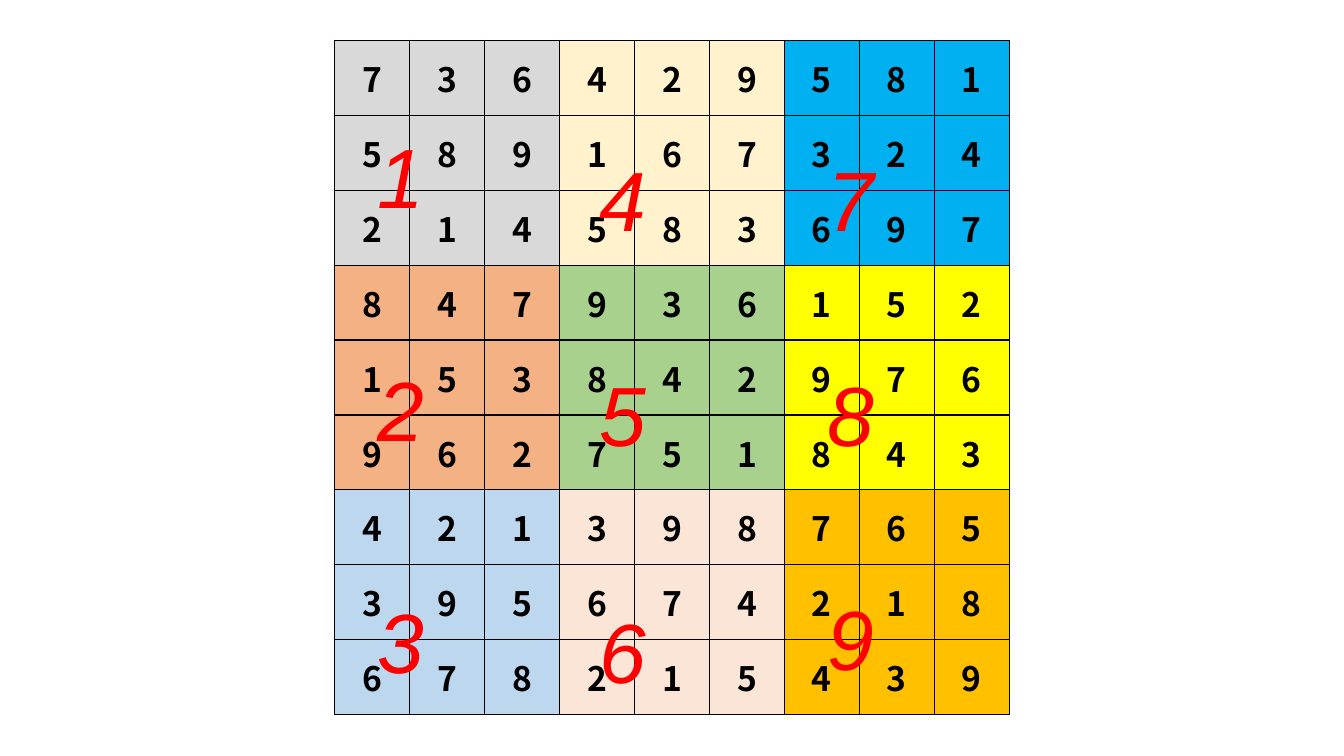
from lxml import etree
from pptx import Presentation
from pptx.dml.color import RGBColor
from pptx.enum.text import MSO_ANCHOR, MSO_AUTO_SIZE, PP_ALIGN
from pptx.oxml.ns import qn
from pptx.util import Inches, Pt

CENTER = PP_ALIGN.CENTER
MIDDLE = MSO_ANCHOR.MIDDLE
GROW = MSO_AUTO_SIZE.SHAPE_TO_FIT_TEXT

SIZE, BOX = 9, 3
GRID_LEFT, GRID_TOP, GRID_SIDE = 3.32, 0.4, 6.69

DIGITS = [
    "736429581",
    "589167324",
    "214583697",
    "847936152",
    "153842976",
    "962751843",
    "421398765",
    "395674218",
    "678215439",
]
BOX_FILLS = [
    ["D9D9D9", "FFF2CC", "00B0F0"],
    ["F4B183", "A9D18E", "FFFF00"],
    ["BDD7EE", "FBE5D6", "FFC000"],
]
# Box numbers run down each column: left, width, height, wrap, tops
NUMBER_COLUMNS = [
    (3.65, 0.71, 1.11, False, [1.19, 3.5, 5.8]),
    (5.85, 0.58, 1.12, True, [1.41, 3.55, 5.9]),
    (8.11, 0.58, 1.12, True, [1.41, 3.55, 5.77]),
]


def color(value):
    return RGBColor.from_string(value)


def outline(cell):
    properties = cell._tc.get_or_add_tcPr()
    for position, side in enumerate(["a:lnL", "a:lnR", "a:lnT", "a:lnB"]):
        line = etree.Element(qn(side), w=str(Pt(1)))
        fill = etree.SubElement(line, qn("a:solidFill"))
        etree.SubElement(fill, qn("a:srgbClr"), val="000000")
        properties.insert(position, line)


prs = Presentation()
prs.slide_width, prs.slide_height = Inches(13.33), Inches(7.5)
slide = prs.slides.add_slide(prs.slide_layouts[6])

# Sudoku grid, one fill for each box
sudoku = slide.shapes.add_table(
    SIZE, SIZE, Inches(GRID_LEFT), Inches(GRID_TOP), Inches(GRID_SIDE), Inches(GRID_SIDE)
).table
sudoku.first_row = sudoku.horz_banding = False
for row, digits in enumerate(DIGITS):
    for column, digit in enumerate(digits):
        cell = sudoku.cell(row, column)
        cell.text = digit
        cell.vertical_anchor = MIDDLE
        cell.fill.solid()
        cell.fill.fore_color.rgb = color(BOX_FILLS[row // BOX][column // BOX])
        outline(cell)
        entry = cell.text_frame.paragraphs[0]
        entry.alignment = CENTER
        entry.font.name = "Noto Sans CJK KR"
        entry.font.size = Pt(24)
        entry.font.bold = True
        entry.font.color.rgb = color("000000")

# Red box numbers
for column, (left, width, height, wrap, tops) in enumerate(NUMBER_COLUMNS):
    for row, top in enumerate(tops):
        frame = slide.shapes.add_textbox(
            Inches(left), Inches(top), Inches(width), Inches(height)
        ).text_frame
        frame.word_wrap = wrap
        frame.auto_size = GROW
        number = frame.paragraphs[0]
        number.text = str(column * BOX + row + 1)
        number.font.name = "Arial"
        number.font.size = Pt(60)
        number.font.italic = True
        number.font.color.rgb = color("FF0000")

prs.save("out.pptx")
